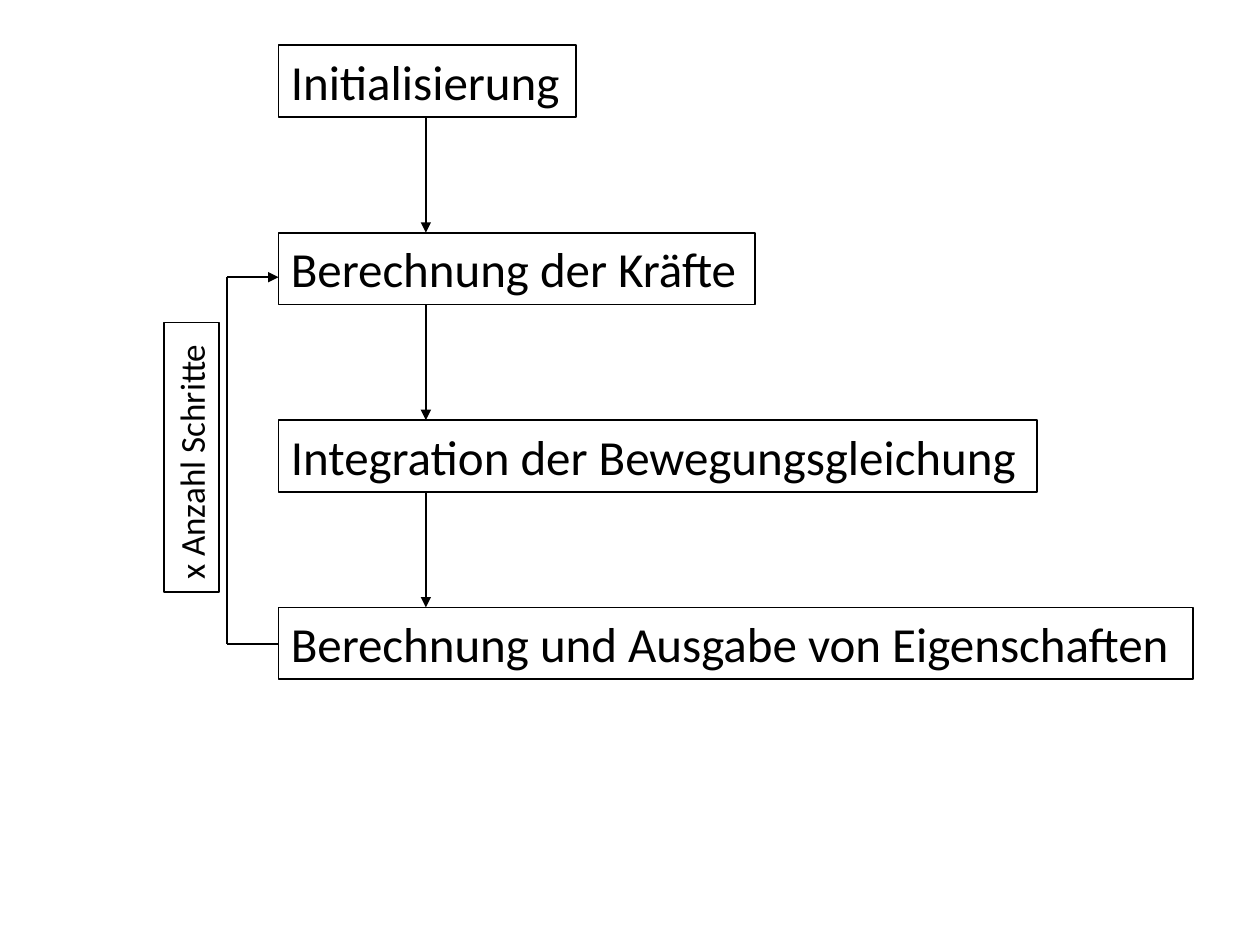
from lxml import etree
from pptx import Presentation
from pptx.dml.color import RGBColor
from pptx.enum.shapes import MSO_CONNECTOR
from pptx.enum.text import MSO_ANCHOR, MSO_AUTO_SIZE
from pptx.oxml.ns import qn
from pptx.util import Inches, Pt

STRAIGHT = MSO_CONNECTOR.STRAIGHT
TOP = MSO_ANCHOR.TOP
GROW = MSO_AUTO_SIZE.SHAPE_TO_FIT_TEXT
BLACK = "000000"
LEFT, FIRST_TOP, STEP, BOX_H = 2.21, 0.36, 1.487, 0.57
ARROW_X, LOOP_X = 3.38, 1.8
STEPS = [
    ("Initialisierung", 2.36),
    ("Berechnung der Kräfte", 3.78),
    ("Integration der Bewegungsgleichung", 6.02),
    ("Berechnung und Ausgabe von Eigenschaften", 7.26),
]


def style_line(line, color=BLACK):
    """Set a one-point line in the given colour."""
    line.color.rgb = RGBColor.from_string(color)
    line.width = Pt(1)


def add_box(s, text, x, y, w, h, size, rotation=0):
    """Add an outlined text box."""
    sp = s.shapes.add_textbox(Inches(x), Inches(y), Inches(w), Inches(h))
    sp.rotation = rotation
    sp.fill.background()
    style_line(sp.line)
    tf = sp.text_frame
    tf.word_wrap = True
    tf.auto_size = GROW
    tf.vertical_anchor = TOP
    r = tf.paragraphs[0].add_run()
    r.text = text
    r.font.name = "Calibri"
    r.font.size = Pt(size)
    r.font.color.rgb = RGBColor.from_string(BLACK)


def add_line(s, start, end, arrow=False):
    """Add a straight line, with an arrowhead at its end if asked."""
    points = [Inches(v) for v in (*start, *end)]
    cxn = s.shapes.add_connector(STRAIGHT, *points)
    style_line(cxn.line)
    if arrow:
        ln = cxn.line._get_or_add_ln()
        etree.SubElement(ln, qn("a:tailEnd"), type="triangle")
    etree.SubElement(cxn._element.spPr, qn("a:effectLst"))


def main():
    """Build the flow chart slide."""
    prs = Presentation()
    prs.slide_width, prs.slide_height = Inches(10), Inches(7.5)
    s = prs.slides.add_slide(prs.slide_layouts[6])

    for i, (text, width) in enumerate(STEPS):
        y = FIRST_TOP + i * STEP
        add_box(s, text, LEFT, y, width, BOX_H, 28)
        if i:
            add_line(s, (ARROW_X, y - STEP + BOX_H), (ARROW_X, y), arrow=True)

    loop = [(LEFT, 5.11), (LOOP_X, 5.11), (LOOP_X, 2.2), (LEFT, 2.2)]
    for i, (start, end) in enumerate(zip(loop, loop[1:])):
        add_line(s, start, end, arrow=i == 2)

    add_box(s, "x Anzahl Schritte", 0.45, 3.41, 2.14, 0.44, 20, rotation=270)
    prs.save("out.pptx")


main()
